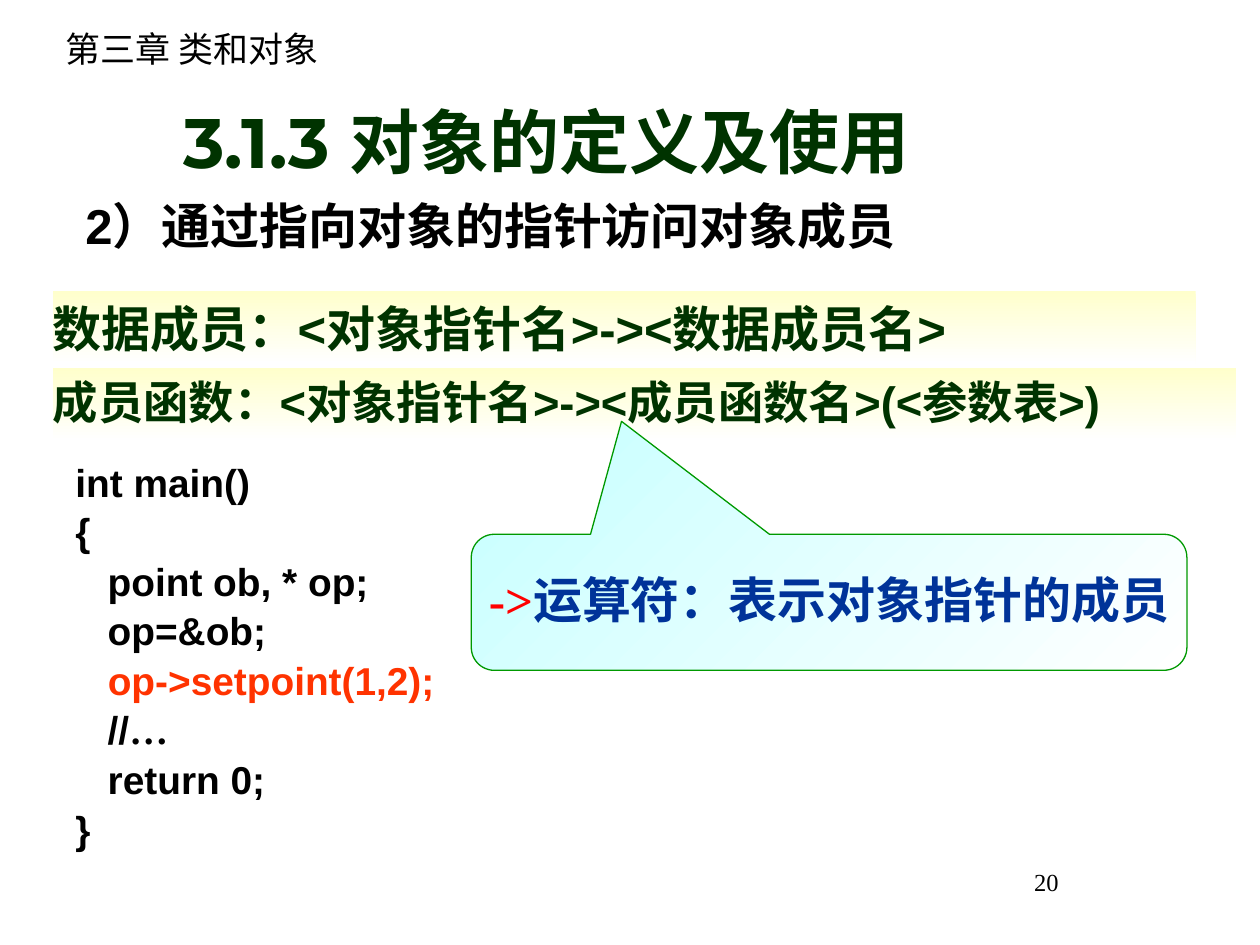
from pptx import Presentation
from pptx.dml.color import RGBColor
from pptx.enum.shapes import MSO_SHAPE
from pptx.enum.text import MSO_ANCHOR, PP_ALIGN
from pptx.oxml.ns import qn
from pptx.util import Inches, Pt

COLORS = {
    "black": "000000", "green": "003300", "orange": "FF3300", "red": "FF0000",
    "blue": "003399", "outline": "009900", "yellow": "FFFFCC", "cyan": "CCFFFF",
    "white": "FFFFFF",
}
CJK = "Noto Sans CJK SC"
SERIF = "Times New Roman"

CHAPTER = "第三章 类和对象"
TITLE = "3.1.3 对象的定义及使用"
SUBTITLE = "2）通过指向对象的指针访问对象成员"
PAGE_NUMBER = "20"
# text, top, width, size, line spacing
SYNTAX_BARS = [
    ("数据成员：<对象指针名>-><数据成员名>", 2.31, 9.07, 28, 1),
    ("成员函数：<对象指针名>-><成员函数名>(<参数表>)", 2.92, 9.39, 25.9, 0.9),
]
CALLOUT = [("->", {"color": "red", "font": SERIF}),
           ("运算符：表示对象指针的成员", {"color": "blue", "font": SERIF})]
# each line is a string or a list of (text, format) runs
CODE = [
    "int main()",
    "{",
    "   point ob, * op;",
    "   op=&ob;",
    [("   ", {}), ("op->setpoint(1,2);", {"color": "orange"})],
    [("   //", {}), ("…", {"font": SERIF})],
    "   return 0;",
    "}",
]


def rgb(name):
    return RGBColor.from_string(COLORS[name])


def format_run(run, size=28, font="Arial", color="black", bold=True):
    run.font.size = Pt(size)
    run.font.name = font
    run.font.bold = bold
    run.font.color.rgb = rgb(color)
    latin = run.font._element.find(qn("a:latin"))
    east_asian = latin.makeelement(qn("a:ea"), {"typeface": CJK})
    latin.addnext(east_asian)


def write(shape, lines, align=PP_ALIGN.LEFT, anchor=MSO_ANCHOR.TOP, wrap=True,
          margins=(0.1, 0.05), spacing=1, before=0, hanging=0, **run_format):
    """Fill a shape; each line is a string or a list of (text, format) runs."""
    frame = shape.text_frame
    frame.word_wrap = wrap
    frame.vertical_anchor = anchor
    frame.margin_left = frame.margin_right = Inches(margins[0])
    frame.margin_top = frame.margin_bottom = Inches(margins[1])
    for index, line in enumerate(lines):
        paragraph = frame.add_paragraph() if index else frame.paragraphs[0]
        paragraph.alignment = align
        paragraph.line_spacing = spacing
        paragraph.space_before = Pt(before if index else 0)
        if hanging:
            properties = paragraph._p.get_or_add_pPr()
            properties.set("marL", str(Inches(hanging)))
            properties.set("indent", str(-Inches(hanging)))
        for text, extra in [(line, {})] if isinstance(line, str) else line:
            run = paragraph.add_run()
            run.text = text
            format_run(run, **{**run_format, **extra})


def add_text(slide, box, lines, **text_format):
    write(slide.shapes.add_textbox(*map(Inches, box)), lines, **text_format)


def add_gradient_shape(slide, preset, box, start, angle):
    """Add a shape that fades from start to white; angle is counter-clockwise."""
    shape = slide.shapes.add_shape(preset, *map(Inches, box))
    shape.shadow.inherit = False
    shape.fill.gradient()
    shape.fill.gradient_angle = angle
    for stop, position, color in zip(shape.fill.gradient_stops, (0, 1), (start, "white")):
        stop.position = position
        stop.color.rgb = rgb(color)
    shape.line.fill.background()
    return shape


def main():
    deck = Presentation()
    deck.slide_width, deck.slide_height = Inches(10), Inches(7.5)
    slide = deck.slides.add_slide(deck.slide_layouts[5])

    title = slide.shapes.title
    title.left, title.top, title.width, title.height = map(Inches, (0.25, 0.73, 8.17, 0.77))
    write(title, [TITLE], align=PP_ALIGN.CENTER, anchor=MSO_ANCHOR.BOTTOM,
          size=40, font="Montserrat", color="green")

    add_text(slide, (0.42, 0.17, 4.75, 0.44), [CHAPTER], size=20, font=CJK, bold=False)
    add_text(slide, (6.83, 6.83, 1.67, 0.5), [PAGE_NUMBER], align=PP_ALIGN.RIGHT,
             size=14, font=SERIF, bold=False)
    add_text(slide, (0.5, 3.66, 8.42, 3.08), CODE, size=22.2, spacing=0.8,
             before=7, hanging=0.38)

    for text, top, width, size, spacing in SYNTAX_BARS:
        bar = add_gradient_shape(slide, MSO_SHAPE.RECTANGLE, (0.42, top, width, 0.58),
                                 "yellow", 270)
        write(bar, [text], anchor=MSO_ANCHOR.MIDDLE, margins=(0, 0), size=size,
              spacing=spacing, color="green")

    callout = add_gradient_shape(slide, MSO_SHAPE.ROUNDED_RECTANGULAR_CALLOUT,
                                 (3.74, 4.24, 5.68, 1.08), "cyan", 315)
    for index, value in enumerate((-0.29, -1.33, 0.17)):
        callout.adjustments[index] = value
    callout.line.color.rgb = rgb("outline")
    callout.line.width = Pt(0.75)
    write(callout, [CALLOUT], align=PP_ALIGN.CENTER, anchor=MSO_ANCHOR.MIDDLE,
          wrap=False, spacing=0.9)

    add_text(slide, (0.58, 1.5, 7.57, 0.57), [SUBTITLE])
    deck.save("out.pptx")


if __name__ == "__main__":
    main()
